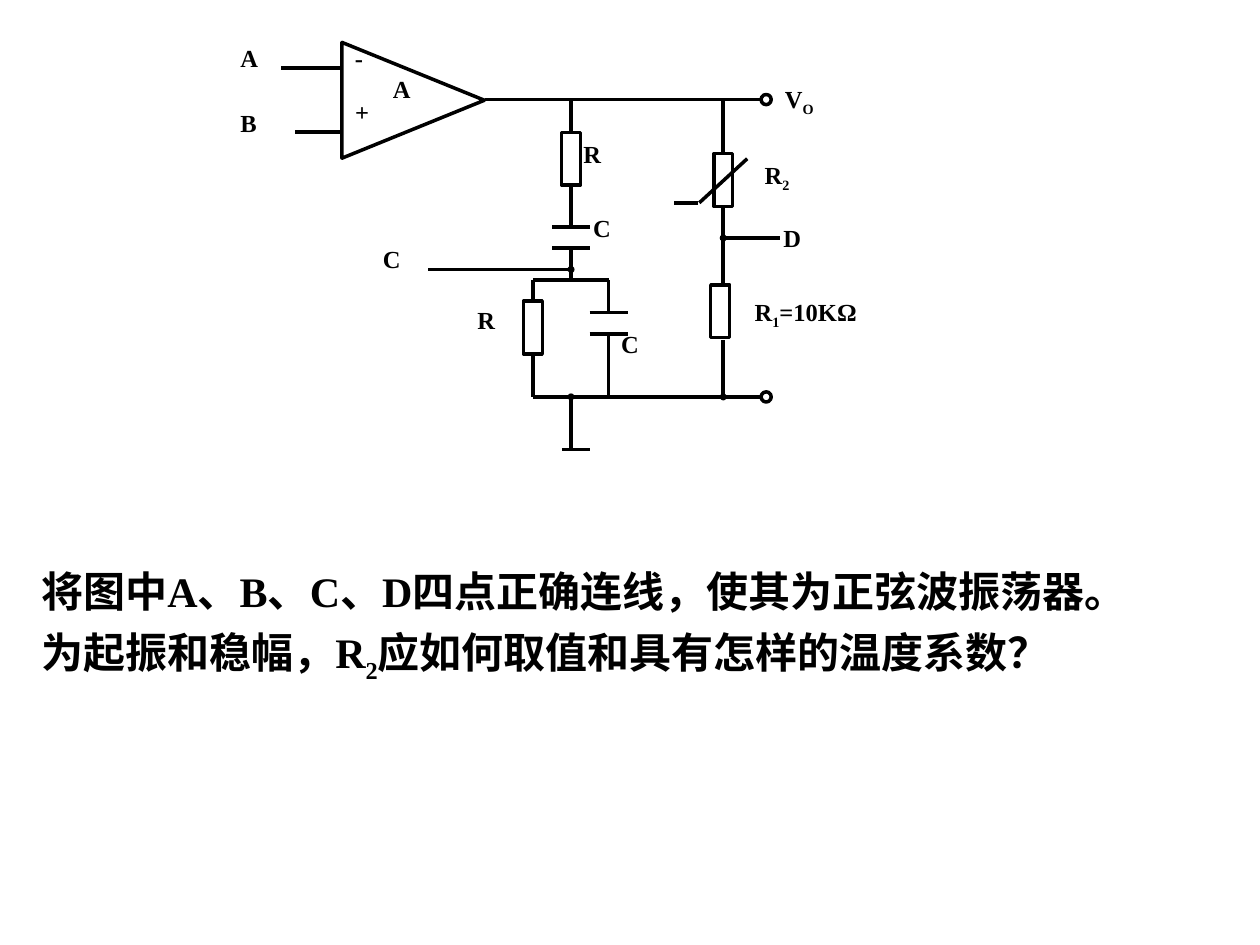
from pptx import Presentation
from pptx.dml.color import RGBColor
from pptx.enum.shapes import MSO_CONNECTOR, MSO_SHAPE
from pptx.enum.text import PP_ALIGN
from pptx.oxml.ns import qn
from pptx.util import Pt
from lxml.etree import SubElement

INK = "000000"
FONT = "Times New Roman"

# Odd entries of each list are subscripts.
QUESTION = [
    ["将图中A、B、C、D四点正确连线，使其为正弦波振荡器。"],
    ["为起振和稳幅，R", "2", "应如何取值和具有怎样的温度系数？"],
]
LABELS = [
    (["A"], 130.3, 20.9, 38), (["B"], 130.3, 58.3, 38),
    (["-"], 195.8, 20.9, 22), (["+"], 195.8, 51.8, 27), (["A"], 217.4, 38.9, 27),
    (["C"], 211.7, 136.1, 38), (["D"], 440.6, 123.8, 38),
    (["R"], 326.2, 75.6, 38), (["C"], 331.9, 118.1, 32),
    (["R"], 265.7, 170.6, 38), (["C"], 347.8, 184.3, 32),
    (["R", "2"], 429.8, 87.8, 60), (["V", "O"], 441.4, 44.6, 77),
    (["R", "1", "=10KΩ"], 424.1, 166.3, 122),
]

SERIES_X, SHUNT_R_X, SHUNT_C_X, DIVIDER_X = 326.3, 304.5, 347.8, 413.3
OUTPUT_Y, GROUND_Y, SPLIT_Y, TAP_C_Y, TAP_D_Y = 56.9, 226.8, 160, 154, 136
TERMINAL_X, TERMINAL_SIZE = 434.9, 5.8
RESISTOR_W, RESISTOR_H = 10.8, 30.2
PLATE_HALF = 10.8
TOP, BOTTOM = 0, 2

RESISTORS = {
    "series": (SERIES_X, 75.6),
    "shunt": (SHUNT_R_X, 172.1),
    "R2": (DIVIDER_X, 87.8),
    "R1": (411.5, 162.7),
}
CAPACITORS = [(SERIES_X, 129.6, 141.8), (SHUNT_C_X, 178.5, 190.8)]
WIRES = [
    (277.2, OUTPUT_Y, TERMINAL_X, OUTPUT_Y),
    (195.8, 38.9, 160.6, 38.9),
    (195.8, 75.6, 168.5, 75.6),
    (SHUNT_C_X, 178.5, SHUNT_C_X, SPLIT_Y),
    (SHUNT_R_X, SPLIT_Y, SHUNT_C_X, SPLIT_Y),
    (SERIES_X, SPLIT_Y, SERIES_X, 141.8),
    (SHUNT_C_X, 190.8, SHUNT_C_X, GROUND_Y),
    (SHUNT_R_X, GROUND_Y, TERMINAL_X, GROUND_Y),
    (321.1, 257, 337, 257),
    (398.9, 115.9, 385.2, 115.9),
    (399.6, 115.9, 427, 90.7),
]
JUNCTION_WIRES = [
    (SERIES_X, GROUND_Y, SERIES_X, 257),
    (SERIES_X, TAP_C_Y, 244.8, TAP_C_Y),
    (DIVIDER_X, TAP_D_Y, 445.7, TAP_D_Y),
    (DIVIDER_X, GROUND_Y, DIVIDER_X, 194.4),
]
RESISTOR_LEADS = [
    ("series", TOP, SERIES_X, OUTPUT_Y),
    ("series", BOTTOM, SERIES_X, 129.6),
    ("shunt", TOP, SHUNT_R_X, SPLIT_Y),
    ("shunt", BOTTOM, SHUNT_R_X, GROUND_Y),
    ("R2", TOP, DIVIDER_X, OUTPUT_Y),
    ("R2", BOTTOM, DIVIDER_X, 162.7),
]

prs = Presentation()
prs.slide_width, prs.slide_height = Pt(720), Pt(540)
slide = prs.slides.add_slide(prs.slide_layouts[6])


def color(hex_value):
    return RGBColor.from_string(hex_value)


def draw_outline(part):
    part.line.color.rgb = color(INK)
    part.line.width = Pt(2)


def add_part(preset, left, top, width, height):
    part = slide.shapes.add_shape(preset, Pt(left), Pt(top), Pt(width), Pt(height))
    part.shadow.inherit = False
    part.fill.background()
    draw_outline(part)
    return part


def add_wire(x1, y1, x2, y2, junction=False):
    wire = slide.shapes.add_connector(
        MSO_CONNECTOR.STRAIGHT, Pt(x1), Pt(y1), Pt(x2), Pt(y2))
    draw_outline(wire)
    if junction:
        SubElement(wire.line._get_or_add_ln(), qn("a:headEnd"),
                   type="oval", w="sm", len="sm")
    SubElement(wire._element.spPr, qn("a:effectLst"))
    return wire


def add_text(lines, left, top, width, height, size, align, hanging=0):
    frame = slide.shapes.add_textbox(
        Pt(left), Pt(top), Pt(width), Pt(height)).text_frame
    frame.word_wrap = True
    for index, pieces in enumerate(lines):
        paragraph = frame.paragraphs[0] if index == 0 else frame.add_paragraph()
        paragraph.alignment = align
        if index:
            paragraph.space_before = Pt(size / 4)
        if hanging:
            properties = paragraph._p.get_or_add_pPr()
            properties.set("marL", str(Pt(hanging)))
            properties.set("indent", str(-Pt(hanging)))
        paragraph.font.name = FONT
        paragraph.font.size = Pt(size)
        paragraph.font.bold = True
        paragraph.font.color.rgb = color(INK)
        for position, piece in enumerate(pieces):
            run = paragraph.add_run()
            run.text = piece
            if position % 2:
                run._r.get_or_add_rPr().set("baseline", "-25000")


amplifier = add_part(MSO_SHAPE.ISOSCELES_TRIANGLE, 203, 16.6, 66.2, 81.4)
amplifier.rotation = 90

resistors = {
    name: add_part(MSO_SHAPE.RECTANGLE, x - RESISTOR_W / 2, y, RESISTOR_W, RESISTOR_H)
    for name, (x, y) in RESISTORS.items()
}
for name, side, x, y in RESISTOR_LEADS:
    add_wire(*RESISTORS[name], x, y).begin_connect(resistors[name], side)
for x, *plates in CAPACITORS:
    for y in plates:
        add_wire(x - PLATE_HALF, y, x + PLATE_HALF, y)
for ends in WIRES:
    add_wire(*ends)
for ends in JUNCTION_WIRES:
    add_wire(*ends, junction=True)
for y in (OUTPUT_Y, GROUND_Y):
    add_part(MSO_SHAPE.OVAL, TERMINAL_X, y - TERMINAL_SIZE / 2,
             TERMINAL_SIZE, TERMINAL_SIZE)

for pieces, left, top, width in LABELS:
    add_text([pieces], left, top, width, 36.7, 14, PP_ALIGN.JUSTIFY)
add_text(QUESTION, 16.6, 319.7, 703.4, 79.2, 24, PP_ALIGN.LEFT, hanging=36)

prs.save("out.pptx")
